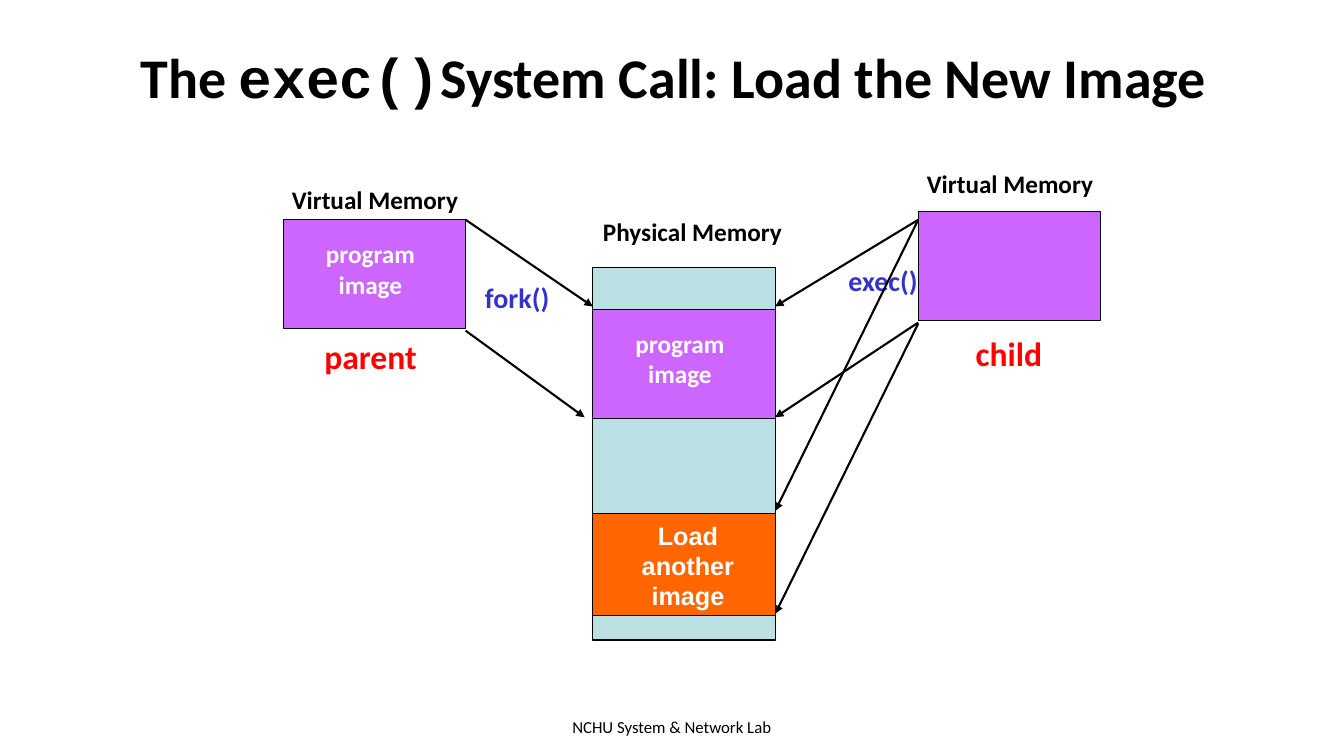
import pptx
import pptx.dml.color
import pptx.enum.shapes
import pptx.enum.text
import pptx.oxml
import pptx.util

Pt = pptx.util.Pt
ALIGN = pptx.enum.text.PP_ALIGN
ANCHOR = pptx.enum.text.MSO_ANCHOR
FIT = pptx.enum.text.MSO_AUTO_SIZE

BLACK, WHITE, RED, BLUE = "000000", "FFFFFF", "FF0000", "3333CC"
PURPLE, ORANGE, TEAL = "CC66FF", "FF6600", "BBE0E3"
MEMORY_WIDTH, IMAGE_HEIGHT = 130.3, 77.8
PARENT_LEFT, PHYSICAL_LEFT, CHILD_LEFT = 202.3, 423.4, 655.9
PARENT_RIGHT = PARENT_LEFT + MEMORY_WIDTH
PHYSICAL_RIGHT = PHYSICAL_LEFT + MEMORY_WIDTH


def set_attributes(target, values):
    for name, value in values.items():
        setattr(target, name, value)


def set_color(color_format, color):
    color_format.rgb = pptx.dml.color.RGBColor.from_string(color)


def add_text(shapes, place, spans, size, color=BLACK, bold=True, frame=None, align=ALIGN.CENTER):
    box = shapes.add_textbox(*map(Pt, place))
    set_attributes(box.text_frame, {"word_wrap": True, "auto_size": FIT.SHAPE_TO_FIT_TEXT, **(frame or {})})
    para = box.text_frame.paragraphs[0]
    para.alignment = align
    for text, font in spans:
        span = para.add_run()
        span.text = text
        set_attributes(span.font, {"name": font, "size": Pt(size), "bold": bold})
        set_color(span.font.color, color)


def add_label(shapes, text, left, top, width, height, size, color=BLACK, font="Calibri"):
    add_text(shapes, (left, top, width, height), [(text, font)], size, color)


def add_role(shapes, text, left, top, width):
    add_text(shapes, (left, top, width, 36), [(text, "Calibri")], 24, RED,
             frame={"word_wrap": False}, align=ALIGN.LEFT)


def add_memory(shapes, left, top, height, color):
    box = shapes.add_shape(pptx.enum.shapes.MSO_SHAPE.RECTANGLE, *map(Pt, (left, top, MEMORY_WIDTH, height)))
    box.shadow.inherit = False
    box.fill.solid()
    set_color(box.fill.fore_color, color)
    set_color(box.line.color, BLACK)
    box.line.width = Pt(0.75)


def add_image(shapes, text, left, top, height, color, shift, font="Calibri"):
    group = shapes.add_group_shape()
    add_memory(group.shapes, left, top, height, color)
    add_label(group.shapes, text, left + shift[0], top + shift[1], 124.6, shift[2], 18, WHITE, font)


def add_arrow(shapes, *ends):
    arrow = shapes.add_connector(pptx.enum.shapes.MSO_CONNECTOR.STRAIGHT, *map(Pt, ends))
    set_color(arrow.line.color, BLACK)
    arrow.line.width = Pt(1.5)
    namespace = pptx.oxml.ns.nsdecls("a")
    arrow.line._get_or_add_ln().append(pptx.oxml.parse_xml(f'<a:tailEnd {namespace} type="triangle"/>'))
    arrow._element.spPr.append(pptx.oxml.parse_xml(f"<a:effectLst {namespace}/>"))


def main():
    deck = pptx.Presentation()
    set_attributes(deck, {"slide_width": Pt(960), "slide_height": Pt(540)})
    page = deck.slides.add_slide(deck.slide_layouts[6])
    shapes = page.shapes

    title = [("The ", "Calibri"), ("exec()", "Courier New"), ("System Call: Load the New Image", "Calibri")]
    add_text(shapes, (49, 9.4, 864, 90), title, 40,
             frame={"auto_size": FIT.NONE, "vertical_anchor": ANCHOR.MIDDLE})
    add_text(shapes, (326.9, 508.3, 306, 17.3), [("NCHU System & Network Lab", "Calibri")], 12,
             bold=False, frame={"auto_size": FIT.NONE})

    for text, left, top in (("Virtual Memory", 168.5, 128.2), ("Virtual Memory", 622.1, 116.6),
                            ("Physical Memory", 395.3, 151.2)):
        add_label(shapes, text, left, top, 198.7, 28.8, 18)
    for text, left, top in (("fork()", 326.9, 196.6), ("exec()", 588.2, 185)):
        add_label(shapes, text, left, top, 85, 31, 20, BLUE)

    add_memory(shapes, CHILD_LEFT, 151.2, IMAGE_HEIGHT, PURPLE)
    add_memory(shapes, PHYSICAL_LEFT, 190.8, 266.4, TEAL)
    for left, top in ((PARENT_LEFT, 157), (PHYSICAL_LEFT, 221)):
        add_image(shapes, "program image", left, top, IMAGE_HEIGHT, PURPLE, (0, 10, 51.1))
    add_image(shapes, "Load another image", PHYSICAL_LEFT, 366.5, 73.4, ORANGE, (5.7, 1.4, 72), "Arial")

    for ends in (
        (PARENT_RIGHT, 157, PHYSICAL_LEFT, 218.9),
        (PARENT_RIGHT, 236.2, 417.6, 298.1),
        (CHILD_LEFT, 157, PHYSICAL_RIGHT, 218.9),
        (CHILD_LEFT, 230.4, PHYSICAL_RIGHT, 298.1),
        (CHILD_LEFT, 157, PHYSICAL_RIGHT, 365),
        (CHILD_LEFT, 231.1, PHYSICAL_RIGHT, 438.5),
    ):
        add_arrow(shapes, *ends)

    add_role(shapes, "child", 689.8, 234, 62.6)
    add_role(shapes, "parent", 224.6, 236.2, 81.4)
    deck.save("out.pptx")


if __name__ == "__main__":
    main()
